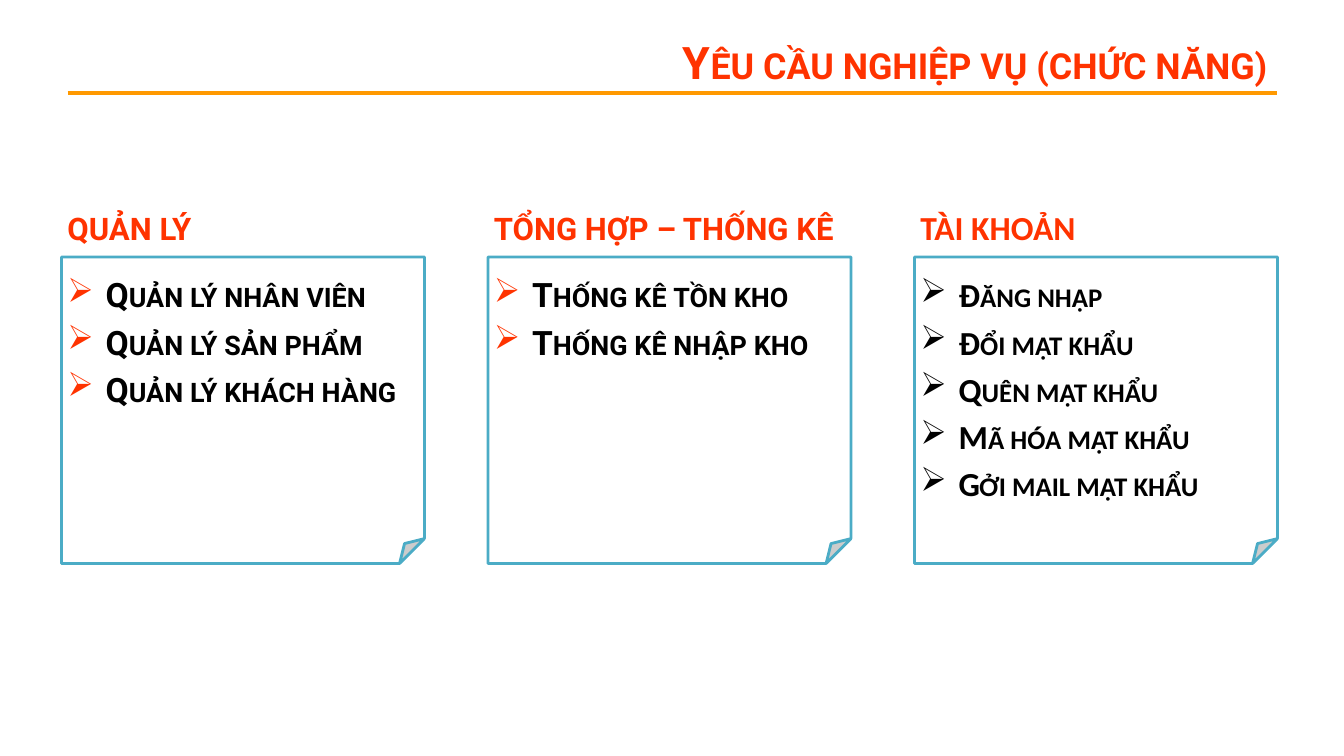
from lxml import etree
from pptx import Presentation
from pptx.dml.color import RGBColor
from pptx.enum.shapes import MSO_CONNECTOR, MSO_SHAPE
from pptx.enum.text import MSO_ANCHOR, PP_ALIGN
from pptx.oxml.ns import qn
from pptx.util import Inches, Pt

STRAIGHT = MSO_CONNECTOR.STRAIGHT
FOLDED_CORNER = MSO_SHAPE.FOLDED_CORNER
TOP, MIDDLE, BOTTOM = MSO_ANCHOR.TOP, MSO_ANCHOR.MIDDLE, MSO_ANCHOR.BOTTOM
LEFT, RIGHT = PP_ALIGN.LEFT, PP_ALIGN.RIGHT

RED = RGBColor(0xFF, 0x33, 0x00)
ORANGE = RGBColor(0xFF, 0x99, 0x00)
TEAL = RGBColor(0x4B, 0xAC, 0xC6)
BLACK = RGBColor(0x00, 0x00, 0x00)
WHITE = RGBColor(0xFF, 0xFF, 0xFF)

FIRST_NOTE_LEFT = 0.61
NOTE_PITCH = 4.23
TEXT_OFFSET = 0.04

GROUPS = [
    ("QUẢN LÝ", 22.2, "Roboto", RED,
     ["Quản lý nhân viên", "Quản lý sản phẩm", "Quản lý khách hàng"]),
    ("TỔNG HỢP – THỐNG KÊ", 22.2, "Roboto", RED,
     ["Thống kê tồn kho", "Thống kê nhập kho"]),
    ("TÀI KHOẢN", 24, "Calibri", BLACK,
     ["Đăng nhập", "Đổi mật khẩu", "Quên mật khẩu", "Mã hóa mật khẩu",
      "Gởi mail mật khẩu"]),
]


def add_bullet(paragraph, color):
    properties = paragraph._p.get_or_add_pPr()
    properties.set("marL", str(Inches(0.38)))
    properties.set("indent", str(-Inches(0.38)))
    bullet_color = etree.SubElement(properties, qn("a:buClr"))
    etree.SubElement(bullet_color, qn("a:srgbClr")).set("val", str(color))
    etree.SubElement(properties, qn("a:buChar")).set("char", "➢")


def add_text(slide, box, lines, size, font_name, color, anchor,
             align=LEFT, small_caps=True, bullet_color=None):
    frame = slide.shapes.add_textbox(*map(Inches, box)).text_frame
    frame.word_wrap = True
    frame.vertical_anchor = anchor
    for index, line in enumerate(lines):
        paragraph = frame.add_paragraph() if index else frame.paragraphs[0]
        paragraph.text = line
        paragraph.alignment = align
        if index:
            paragraph.space_before = Pt(5)
        if bullet_color is not None:
            add_bullet(paragraph, bullet_color)
        font = paragraph.font
        font.name = font_name
        font.size = Pt(size)
        font.bold = True
        font.color.rgb = color
        if small_caps:
            paragraph._p.pPr.find(qn("a:defRPr")).set("cap", "small")


def add_title_rule(slide):
    rule = slide.shapes.add_connector(
        STRAIGHT, Inches(0.67), Inches(0.92), Inches(12.67), Inches(0.92))
    rule.line.color.rgb = ORANGE
    rule.line.width = Pt(3)
    etree.SubElement(rule._element.spPr, qn("a:effectLst"))


def add_note(slide, left):
    note = slide.shapes.add_shape(
        FOLDED_CORNER, Inches(left), Inches(2.55), Inches(3.6), Inches(3.04))
    fold_values = note._element.spPr.find(qn("a:prstGeom")).get_or_add_avLst()
    fold = etree.SubElement(fold_values, qn("a:gd"))
    fold.set("name", "adj")
    fold.set("fmla", "val 8100")
    note.shadow.inherit = False
    note.fill.solid()
    note.fill.fore_color.rgb = WHITE
    note.line.color.rgb = TEAL
    note.line.width = Pt(2)


def add_group(slide, left, heading, heading_size, font_name, bullet_color, items):
    add_note(slide, left)
    text_left = left - TEXT_OFFSET
    add_text(slide, (text_left, 1.8, 3.78, 0.7), [heading], heading_size,
             font_name, RED, BOTTOM, small_caps=False)
    add_text(slide, (text_left, 2.67, 3.56, 2.72), items, 24,
             font_name, BLACK, TOP, bullet_color=bullet_color)


def main():
    presentation = Presentation()
    presentation.slide_width = Inches(13.33)
    presentation.slide_height = Inches(7.5)
    slide = presentation.slides.add_slide(presentation.slide_layouts[6])
    add_title_rule(slide)
    add_text(slide, (3, 0.3, 9.67, 0.62), ["Yêu cầu nghiệp vụ (chức năng)"],
             32, "Roboto", RED, MIDDLE, align=RIGHT)
    for column, group in enumerate(GROUPS):
        add_group(slide, FIRST_NOTE_LEFT + column * NOTE_PITCH, *group)
    presentation.save("out.pptx")


if __name__ == "__main__":
    main()
